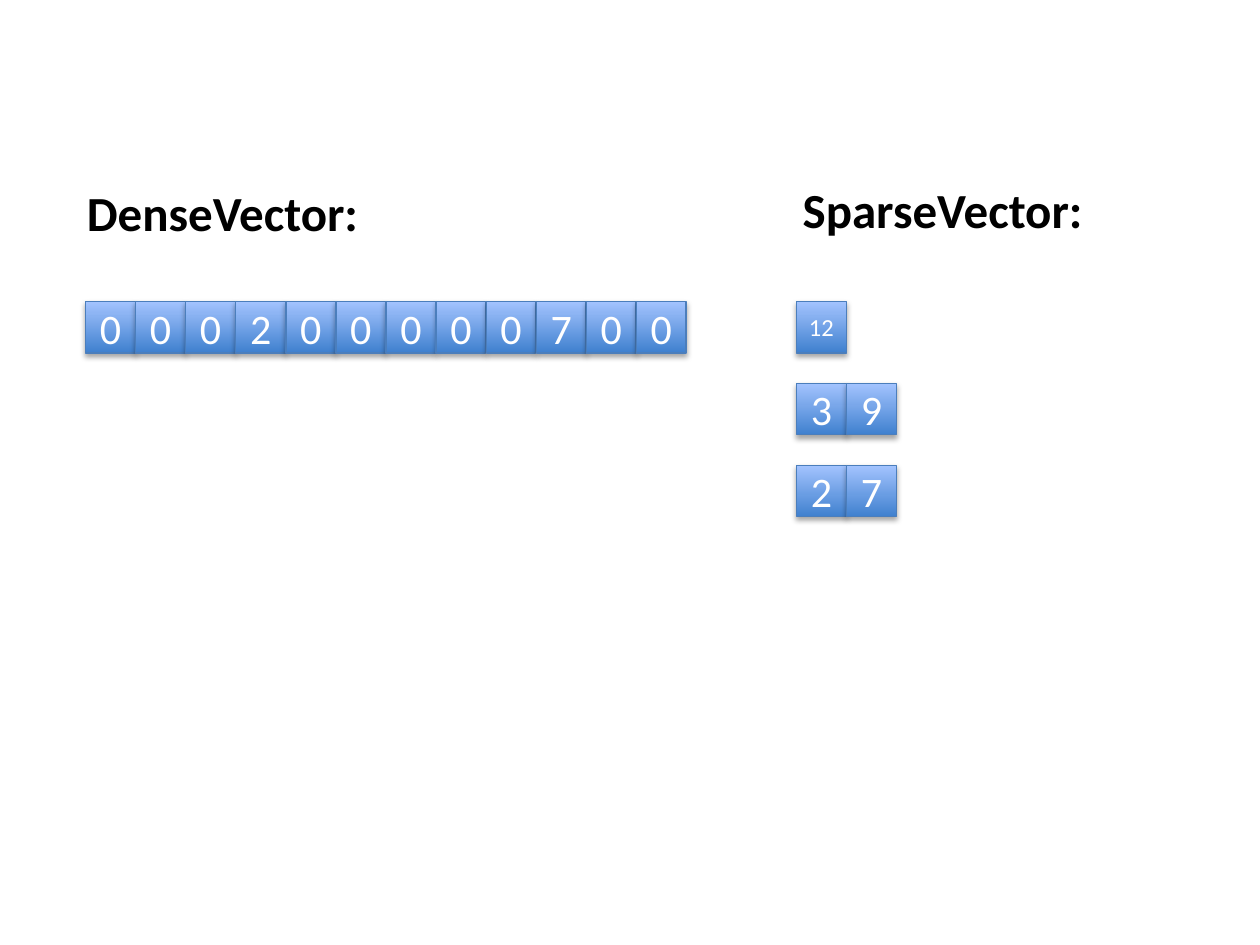
"""Draw a dense vector beside its sparse form as rows of cells."""
from dataclasses import dataclass

from lxml import etree
from pptx import Presentation
from pptx.dml.color import RGBColor
from pptx.enum import shapes, text
from pptx.oxml import ns
from pptx.util import Pt

WHITE = RGBColor(0xFF, 0xFF, 0xFF)
BLACK = RGBColor(0x00, 0x00, 0x00)
DEEP = RGBColor(0x3F, 0x80, 0xCE)
PALE = RGBColor(0xA4, 0xC4, 0xFF)
EDGE = RGBColor(0x4B, 0x7E, 0xBC)

WIDE, HIGH, STEP = 28.4, 29.5, 28.62
TOP, DROP = 172.2, 46.8
DENSE, SPARSE = 48.9, 455.2


@dataclass(frozen=True)
class Row:
    left: float
    line: int
    items: tuple[str, ...]
    size: float = 24
    inset: float = 7.2


@dataclass(frozen=True)
class Head:
    words: str
    left: float
    top: float
    width: float


ROWS = (
    Row(DENSE, 0, tuple("000200000700")),
    Row(SPARSE, 0, ("12",), size=14, inset=3),
    Row(SPARSE, 1, ("3", "9")),
    Row(SPARSE, 2, ("2", "7")),
)
HEADS = (
    Head("DenseVector:", 42.6, 100.8, 172.8),
    Head("SparseVector:", 451.6, 99, 178.6),
)


def write(frame, words: str, *, size: float, color: RGBColor,
          bold: bool = False, align=text.PP_ALIGN.LEFT) -> None:
    para = frame.paragraphs[0]
    para.alignment = align
    run = para.add_run()
    run.text = words
    font = run.font
    font.name, font.size, font.bold = "Calibri", Pt(size), bold
    font.color.rgb = color


def shade(shape) -> None:
    shape.shadow.inherit = False
    effect = shape._element.spPr.find(ns.qn("a:effectLst"))
    outer = etree.SubElement(
        effect, ns.qn("a:outerShdw"), blurRad=str(Pt(3.1)),
        dist=str(Pt(1.8)), dir="5400000", rotWithShape="0")
    tone = etree.SubElement(outer, ns.qn("a:srgbClr"), val=str(BLACK))
    etree.SubElement(tone, ns.qn("a:alpha"), val="35000")


def draw_cell(slide, row: Row, spot: int) -> None:
    cell = slide.shapes.add_shape(
        shapes.MSO_SHAPE.RECTANGLE, Pt(row.left + spot * STEP),
        Pt(TOP + row.line * DROP), Pt(WIDE), Pt(HIGH))
    cell.fill.gradient()
    cell.fill.gradient_angle = 90
    for stop, place, color in zip(cell.fill.gradient_stops, (0, 1), (DEEP, PALE)):
        stop.position, stop.color.rgb = place, color
    cell.line.color.rgb = EDGE
    cell.line.width = Pt(0.75)
    shade(cell)
    frame = cell.text_frame
    frame.margin_left = frame.margin_right = Pt(row.inset)
    frame.vertical_anchor = text.MSO_ANCHOR.MIDDLE
    write(frame, row.items[spot], size=row.size, color=WHITE,
          align=text.PP_ALIGN.CENTER)


def draw_head(slide, head: Head) -> None:
    box = slide.shapes.add_textbox(
        Pt(head.left), Pt(head.top), Pt(head.width), Pt(41))
    frame = box.text_frame
    frame.word_wrap = False
    frame.auto_size = text.MSO_AUTO_SIZE.SHAPE_TO_FIT_TEXT
    write(frame, head.words, size=28, color=BLACK, bold=True)


def main() -> None:
    deck = Presentation()
    deck.slide_width, deck.slide_height = Pt(720), Pt(540)
    slide = deck.slides.add_slide(deck.slide_layouts.get_by_name("Blank"))
    for row in ROWS:
        for spot in range(len(row.items)):
            draw_cell(slide, row, spot)
    for head in HEADS:
        draw_head(slide, head)
    deck.save("out.pptx")


if __name__ == "__main__":
    main()
